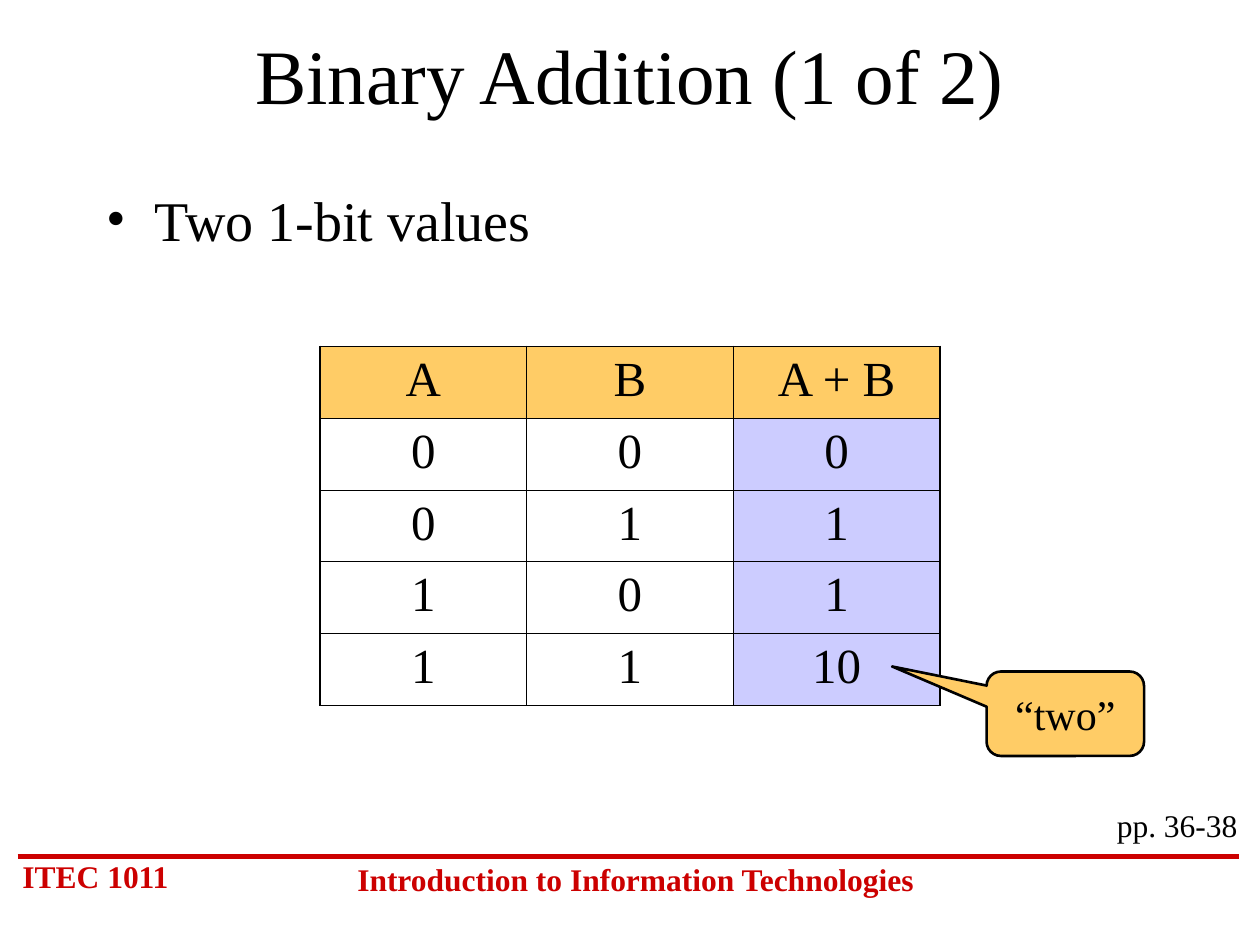
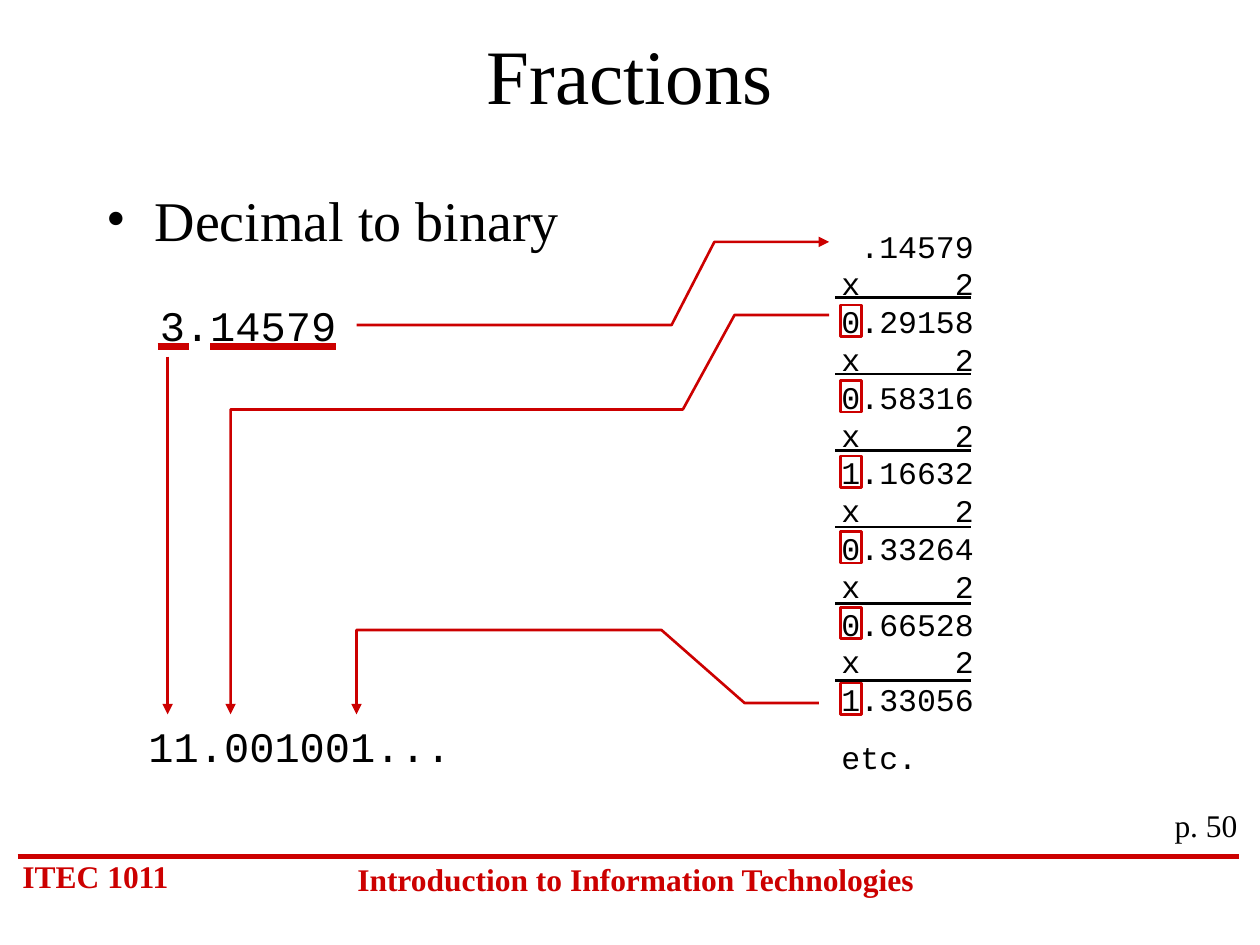
from dataclasses import dataclass

from lxml.etree import SubElement
from pptx import Presentation
from pptx.dml.color import RGBColor
from pptx.enum.shapes import MSO_CONNECTOR, MSO_SHAPE
from pptx.enum.text import MSO_ANCHOR, MSO_AUTO_SIZE, PP_ALIGN
from pptx.oxml.ns import qn
from pptx.slide import Slide
from pptx.table import _Cell
from pptx.text.text import TextFrame, _Paragraph
from pptx.util import Emu, Inches, Pt


@dataclass(frozen=True)
class Theme:
    black: str = "000000"
    red: str = "CC0000"
    amber: str = "FFCC66"
    lilac: str = "CCCCFF"
    serif: str = "Times New Roman"
    mono: str = "Courier New"
    title: int = 44
    bullet: int = 32
    table: int = 28
    large: int = 24
    small: int = 18
    rule: float = 1.5
    footer_rule: float = 3
    underline: float = 4.5
    grid: float = 0.45
    frame: float = 1.08


THEME = Theme()


@dataclass(frozen=True)
class TextStyle:
    size: int
    font: str = THEME.serif
    color: str = THEME.black
    bold: bool = False
    align: PP_ALIGN = PP_ALIGN.LEFT
    before: float = 0


TITLE = TextStyle(THEME.title, align=PP_ALIGN.CENTER)
BULLET = TextStyle(THEME.bullet, before=8)
COURSE = TextStyle(THEME.small, color=THEME.red, bold=True, before=11.2)
SUBJECT = TextStyle(THEME.small, color=THEME.red, bold=True, align=PP_ALIGN.CENTER, before=11.2)
PAGES = TextStyle(THEME.small, align=PP_ALIGN.RIGHT, before=11.2)
CELL = TextStyle(THEME.table, align=PP_ALIGN.CENTER, before=7)
CALLOUT = TextStyle(THEME.large, align=PP_ALIGN.CENTER)
DECIMAL = TextStyle(THEME.large, THEME.mono, before=15)
BINARY = TextStyle(THEME.large, THEME.mono)
WORKING = TextStyle(THEME.small, THEME.mono, before=11.2)


@dataclass(frozen=True)
class Area:
    left: float
    top: float
    width: float
    height: float

    def emu(self) -> tuple[Emu, ...]:
        return tuple(Inches(n) for n in (self.left, self.top, self.width, self.height))


@dataclass(frozen=True)
class Label:
    text: str
    area: Area
    style: TextStyle


@dataclass(frozen=True)
class Line:
    start: tuple[float, float]
    end: tuple[float, float]
    color: str = THEME.red
    width: float = THEME.rule
    arrow: bool = False


TITLE_AREA = Area(0.75, 0.17, 8.5, 0.83)
BULLET_AREA = Area(0.75, 1.42, 8.5, 4.5)
PAGES_AREA = Area(8.75, 6.35, 1.17, 0.4)
FOOTER_LINE = Line((0.14, 6.8), (9.83, 6.8), width=THEME.footer_rule)
FOOTER_LABELS = (
    Label("ITEC 1011", Area(0.08, 6.75, 1.5, 0.4), COURSE),
    Label("Introduction to Information Technologies", Area(2.67, 6.78, 4.75, 0.4), SUBJECT),
)

ADDITION_ROWS = (
    ("A", "B", "A + B"),
    ("0", "0", "0"),
    ("0", "1", "1"),
    ("1", "0", "1"),
    ("1", "1", "10"),
)
COLUMN_WIDTH, ROW_HEIGHT = 1.64, 0.57

FRACTIONS = (".14579", "0.29158", "0.58316", "1.16632", "0.33264", "0.66528", "1.33056")
DOUBLINGS = len(FRACTIONS) - 1
FIRST_RULE, LAST_RULE = 2.36, 5.4
FIRST_DIGIT, DIGIT_STEP = 2.42, 0.6
PRODUCT_WIDTH = 1.05

FRACTION_LABELS = (
    Label("3.14579", Area(1.17, 2.33, 1.63, 0.5), DECIMAL),
    Label("11.001001...", Area(1.08, 5.67, 2.92, 0.5), BINARY),
)
FRACTION_LINES = (
    Line((1.67, 2.75), (2.67, 2.75), width=THEME.underline),
    Line((1.25, 2.75), (1.5, 2.75), width=THEME.underline),
    Line((1.33, 2.83), (1.33, 5.67), arrow=True),
)
FRACTION_ROUTES = (
    ((2.83, 2.58), (5.33, 2.58), (5.67, 1.92), (6.58, 1.92)),
    ((6.58, 2.5), (5.83, 2.5), (5.42, 3.25), (1.83, 3.25), (1.83, 5.67)),
    ((6.5, 5.58), (5.91, 5.58), (5.25, 5), (2.83, 5), (2.83, 5.67)),
)


def rgb(color: str) -> RGBColor:
    return RGBColor.from_string(color)


def style_text(frame: TextFrame, style: TextStyle) -> None:
    frame.word_wrap = True
    for para in frame.paragraphs:
        para.alignment = style.align
        para.space_before = Pt(style.before)
        for span in para.runs:
            span.font.size = Pt(style.size)
            span.font.name = style.font
            span.font.bold = style.bold
            span.font.color.rgb = rgb(style.color)


def add_label(page: Slide, label: Label) -> TextFrame:
    frame = page.shapes.add_textbox(*label.area.emu()).text_frame
    frame.text = label.text
    frame.auto_size = MSO_AUTO_SIZE.SHAPE_TO_FIT_TEXT
    style_text(frame, label.style)
    return frame


def add_bullet_mark(para: _Paragraph) -> None:
    properties = para._p.get_or_add_pPr()
    properties.set("marL", str(Inches(0.38)))
    properties.set("indent", str(Inches(-0.38)))
    SubElement(properties, qn("a:buFont"), typeface=THEME.serif)
    SubElement(properties, qn("a:buChar"), char="•")


def add_right_tab(para: _Paragraph, position: float) -> None:
    tabs = SubElement(para._p.get_or_add_pPr(), qn("a:tabLst"))
    SubElement(tabs, qn("a:tab"), pos=str(Inches(position)), algn="r")


def style_outline(shape, color: str, width: float, arrow: bool = False) -> None:
    shape.line.color.rgb = rgb(color)
    shape.line.width = Pt(width)
    if arrow:
        SubElement(shape.line._get_or_add_ln(), qn("a:tailEnd"), type="triangle")


def add_line(page: Slide, line: Line) -> None:
    ends = (Inches(n) for n in line.start + line.end)
    connector = page.shapes.add_connector(MSO_CONNECTOR.STRAIGHT, *ends)
    style_outline(connector, line.color, line.width, line.arrow)
    SubElement(connector._element.spPr, qn("a:effectLst"))


def add_route(page: Slide, points: tuple[tuple[float, float], ...]) -> None:
    """Draw an open bent line that ends in an arrowhead."""
    start, *rest = [(Inches(x), Inches(y)) for x, y in points]
    builder = page.shapes.build_freeform(*start)
    builder.add_line_segments(rest, close=False)
    route = builder.convert_to_shape()
    route.shadow.inherit = False
    route.fill.background()
    style_outline(route, THEME.red, THEME.rule, arrow=True)


def add_page(deck, title: str, bullet: str, pages: str) -> Slide:
    page = deck.slides.add_slide(deck.slide_layouts[5])
    heading = page.shapes.title
    heading.left, heading.top, heading.width, heading.height = TITLE_AREA.emu()
    heading.text_frame.text = title
    heading.text_frame.auto_size = MSO_AUTO_SIZE.NONE
    heading.text_frame.vertical_anchor = MSO_ANCHOR.MIDDLE
    style_text(heading.text_frame, TITLE)

    add_line(page, FOOTER_LINE)
    for label in FOOTER_LABELS:
        add_label(page, label)
    body = add_label(page, Label(bullet, BULLET_AREA, BULLET))
    body.auto_size = MSO_AUTO_SIZE.NONE
    add_bullet_mark(body.paragraphs[0])
    add_label(page, Label(pages, PAGES_AREA, PAGES))
    return page


def set_borders(cell: _Cell, outer_sides: dict[str, bool]) -> None:
    """Give the cell heavy borders on outer sides and thin ones elsewhere."""
    properties = cell._tc.get_or_add_tcPr()
    for side, outer in outer_sides.items():
        width = Pt(THEME.frame if outer else THEME.grid)
        border = SubElement(properties, qn(f"a:ln{side}"), w=str(width))
        fill = SubElement(border, qn("a:solidFill"))
        SubElement(fill, qn("a:srgbClr"), val=THEME.black)


def add_addition_table(page: Slide) -> None:
    row_count, column_count = len(ADDITION_ROWS), len(ADDITION_ROWS[0])
    area = Area(2.54, 2.75, column_count * COLUMN_WIDTH, row_count * ROW_HEIGHT)
    table = page.shapes.add_table(row_count, column_count, *area.emu()).table
    table.first_row = table.horz_banding = False
    for r, values in enumerate(ADDITION_ROWS):
        for c, value in enumerate(values):
            cell = table.cell(r, c)
            cell.text_frame.text = value
            style_text(cell.text_frame, CELL)
            last_column = c == column_count - 1
            set_borders(cell, {"L": c == 0, "R": last_column, "T": r == 0, "B": r == row_count - 1})
            if r == 0 or last_column:
                cell.fill.solid()
                cell.fill.fore_color.rgb = rgb(THEME.amber if r == 0 else THEME.lilac)
            else:
                cell.fill.background()


def add_callout(page: Slide, label: Label) -> None:
    callout = page.shapes.add_shape(MSO_SHAPE.ROUNDED_RECTANGULAR_CALLOUT, *label.area.emu())
    for index, value in enumerate((-1.1, -0.56, 0.17)):
        callout.adjustments[index] = value
    callout.shadow.inherit = False
    callout.fill.solid()
    callout.fill.fore_color.rgb = rgb(THEME.amber)
    style_outline(callout, THEME.black, THEME.rule)
    callout.text_frame.text = label.text
    callout.text_frame.vertical_anchor = MSO_ANCHOR.MIDDLE
    style_text(callout.text_frame, label.style)


def add_working(page: Slide) -> None:
    """Write the repeated doublings, rule them off and box each carried digit."""
    sums = "\vx\t2\v".join(("\t" + FRACTIONS[0], *FRACTIONS[1:]))
    frame = add_label(page, Label(f"{sums}\netc.", Area(6.58, 1.75, 1.62, 4.46), WORKING))
    add_right_tab(frame.paragraphs[0], PRODUCT_WIDTH)
    rule_step = (LAST_RULE - FIRST_RULE) / (DOUBLINGS - 1)
    for index in range(DOUBLINGS):
        y = FIRST_RULE + index * rule_step
        add_line(page, Line((6.63, y), (7.71, y), THEME.black))
        digit_area = Area(6.67, FIRST_DIGIT + index * DIGIT_STEP, 0.17, 0.25)
        digit_box = page.shapes.add_shape(MSO_SHAPE.RECTANGLE, *digit_area.emu())
        digit_box.shadow.inherit = False
        digit_box.fill.background()
        style_outline(digit_box, THEME.red, THEME.rule)


def build_addition(deck) -> None:
    page = add_page(deck, "Binary Addition (1 of 2)", "Two 1-bit values", "pp. 36-38")
    add_addition_table(page)
    add_callout(page, Label("“two”", Area(7.83, 5.33, 1.25, 0.67), CALLOUT))


def build_fractions(deck) -> None:
    page = add_page(deck, "Fractions", "Decimal to binary", "p. 50")
    for label in FRACTION_LABELS:
        add_label(page, label)
    add_working(page)
    for line in FRACTION_LINES:
        add_line(page, line)
    for points in FRACTION_ROUTES:
        add_route(page, points)


def main() -> None:
    deck = Presentation()
    deck.slide_width, deck.slide_height = Inches(10), Inches(7.5)
    build_addition(deck)
    build_fractions(deck)
    deck.save("out.pptx")


if __name__ == "__main__":
    main()
